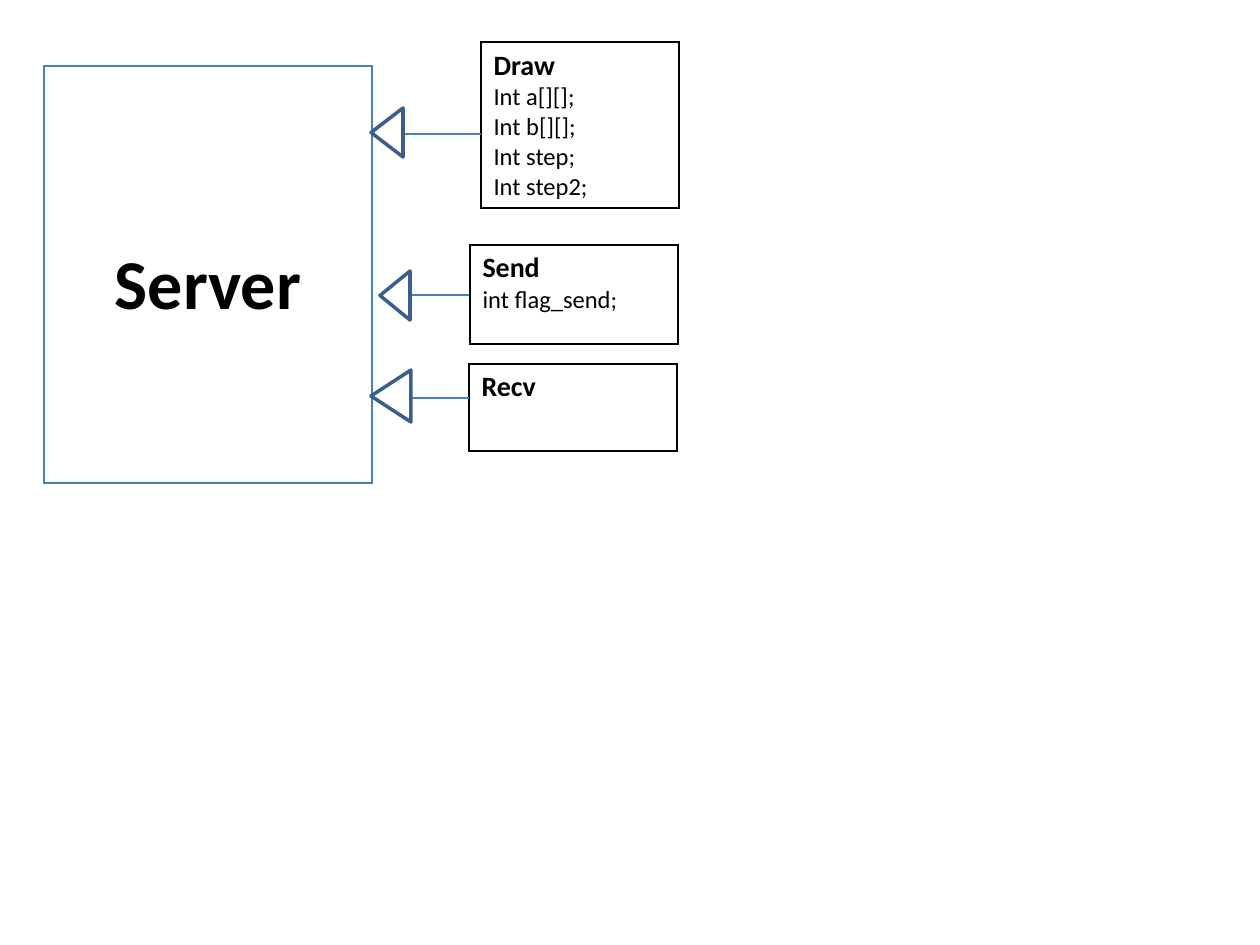
import pptx
import pptx.dml.color
import pptx.enum.shapes
import pptx.enum.text
import pptx.oxml
import pptx.oxml.ns
import pptx.util

PX = 914400 // 126
FONT = "Calibri"
COLORS = {"text": "000000", "paper": "FFFFFF", "server": "4B7EBC",
          "class": "000000", "arrow": "3A5F8C"}

# Boxes and arrowheads: left, top, width, height; link: y, right end, left end
SERVER = {"name": "Server", "box": (44, 66, 328, 417), "text_top": 177}
CLASSES = [
    {"name": "Draw", "box": (481, 42, 198, 164),
     "fields": ["Int a[][];", "Int b[][];", "Int step;", "Int step2;"],
     "link": (134, 481, 402), "arrowhead": (371, 108, 32, 49)},
    {"name": "Send", "box": (470, 245, 208, 99),
     "fields": ["int flag_send;"],
     "link": (295, 469, 411), "arrowhead": (380, 271, 30, 49)},
    {"name": "Recv", "box": (469, 364, 208, 87),
     "fields": [],
     "link": (398, 469, 411), "arrowhead": (371, 370, 40, 52)},
]


def px(*lengths):
    """Turn pixel lengths into EMU."""
    return [round(length * PX) for length in lengths]


def rgb(name):
    """Look up a named colour."""
    return pptx.dml.color.RGBColor.from_string(COLORS[name])


def add_line(paragraph, text, size, bold):
    """Add one run of text to a paragraph."""
    run = paragraph.add_run()
    run.text = text
    run.font.name = FONT
    run.font.size = pptx.util.Pt(size)
    run.font.bold = bold
    run.font.color.rgb = rgb("text")


def add_box(box, border, points):
    """Add a bordered one-cell table and return its cell."""
    table = slide.shapes.add_table(1, 1, *px(*box)).table
    table.first_row = table.horz_banding = False
    cell = table.cell(0, 0)
    cell.fill.background()
    properties = cell._tc.get_or_add_tcPr()
    for position, side in enumerate("LRTB"):
        properties.insert(position, pptx.oxml.parse_xml(
            f'<a:ln{side} {pptx.oxml.ns.nsdecls("a")} w="{pptx.util.Pt(points)}">'
            f'<a:solidFill><a:srgbClr val="{COLORS[border]}"/></a:solidFill></a:ln{side}>'))
    return cell


def add_server(server):
    """Add the large box with its centred name."""
    cell = add_box(server["box"], "server", 0.75)
    cell.fill.solid()
    cell.fill.fore_color.rgb = rgb("paper")
    cell.margin_top = px(server["text_top"])[0]
    title = cell.text_frame.paragraphs[0]
    title.alignment = pptx.enum.text.PP_ALIGN.CENTER
    add_line(title, server["name"], 40, True)


def add_class(entry):
    """Add a class box with its name and fields."""
    frame = add_box(entry["box"], "class", 1).text_frame
    add_line(frame.paragraphs[0], entry["name"], 16, True)
    for field in entry["fields"]:
        add_line(frame.add_paragraph(), field, 14, False)


def add_inheritance(entry):
    """Add the line and hollow arrowhead pointing to the server."""
    y, start, end = entry["link"]
    link = slide.shapes.add_connector(
        pptx.enum.shapes.MSO_CONNECTOR.STRAIGHT, *px(start, y, end, y))
    link.line.color.rgb = rgb("server")
    link.line.width = pptx.util.Pt(0.75)
    link._element.spPr.append(pptx.oxml.parse_xml(
        f'<a:effectLst {pptx.oxml.ns.nsdecls("a")}/>'))

    left, top, width, height = entry["arrowhead"]
    shift = (width - height) / 2
    arrowhead = slide.shapes.add_shape(
        pptx.enum.shapes.MSO_SHAPE.ISOSCELES_TRIANGLE,
        *px(left + shift, top - shift, height, width))
    arrowhead.rotation = 270
    arrowhead.shadow.inherit = False
    arrowhead.fill.solid()
    arrowhead.fill.fore_color.rgb = rgb("paper")
    arrowhead.line.color.rgb = rgb("arrow")
    arrowhead.line.width = pptx.util.Pt(2)


deck = pptx.Presentation()
deck.slide_width, deck.slide_height = px(1260, 945)
slide = deck.slides.add_slide(deck.slide_layouts[6])

add_server(SERVER)
for entry in CLASSES:
    add_class(entry)
    add_inheritance(entry)

deck.save("out.pptx")
